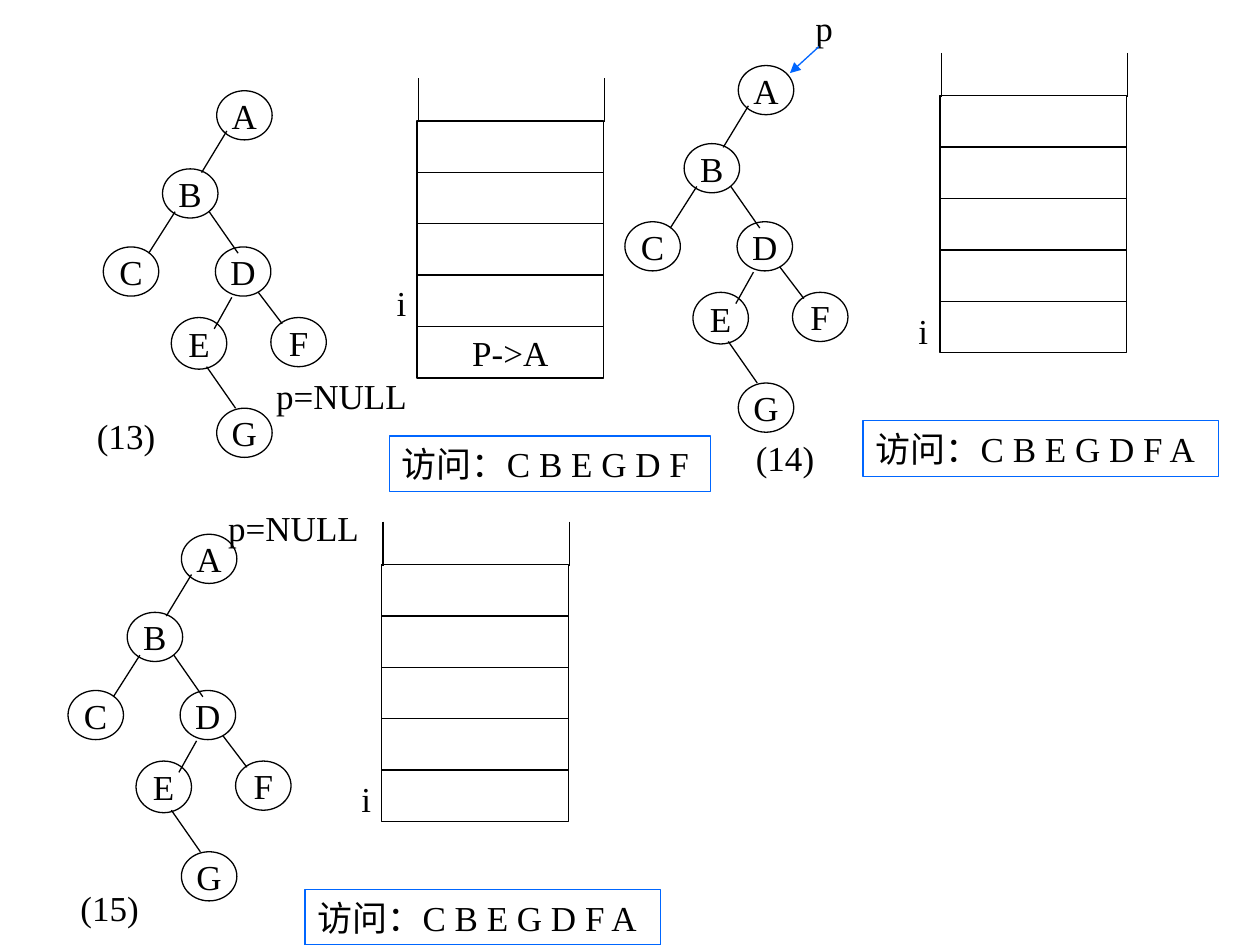
"""Build a slide with three steps of an in-order tree traversal and its stack."""
from lxml.etree import SubElement
from pptx import Presentation
from pptx.dml.color import RGBColor
from pptx.enum.shapes import MSO_CONNECTOR as Connector, MSO_SHAPE as Shape
from pptx.enum.text import MSO_ANCHOR as Anchor, MSO_AUTO_SIZE as AutoSize, PP_ALIGN as Align
from pptx.oxml.ns import qn
from pptx.util import Inches, Pt

THEME = {
    "font": "Times New Roman",
    "size": Pt(20),
    "line": Pt(0.75),
    "ink": RGBColor(0x00, 0x00, 0x00),
    "accent": RGBColor(0x00, 0x66, 0xFF),
}

NODE_WIDTH, NODE_HEIGHT = 0.44, 0.39
NODES = [
    ("A", 0, 0, NODE_HEIGHT),
    ("B", -0.43, 0.62, NODE_HEIGHT),
    ("C", -0.9, 1.24, NODE_HEIGHT),
    ("D", -0.01, 1.24, NODE_HEIGHT),
    ("E", -0.36, 1.8, 0.41),
    ("F", 0.43, 1.8, NODE_HEIGHT),
    ("G", 0, 2.52, NODE_HEIGHT),
]
EDGES = [
    (0.08, 0.32, -0.12, 0.65),
    (-0.33, 0.96, -0.54, 1.29),
    (-0.06, 0.96, 0.17, 1.29),
    (0.12, 1.64, -0.02, 1.89),
    (0.33, 1.6, 0.52, 1.85),
    (-0.08, 2.19, 0.15, 2.52),
]
CELL_COUNT, CELL_WIDTH, STACK_HEIGHT = 5, 1.48, 2.04
CELL_HEIGHT = STACK_HEIGHT / CELL_COUNT
RAIL_HEIGHT = 0.34
LABEL_HEIGHT = 0.44

STEPS = [
    {
        "tree": (1.72, 0.72),
        "stack": (3.31, 0.96),
        "bottom_cell": "P->A",
        "visited": ("访问：C B E G D F", 3.09, 3.46, 2.55),
        "labels": [("i", 3.05, 2.18, 0.27), ("p=NULL", 2.09, 2.92, 1.24),
                   ("(13)", 0.64, 3.24, 0.72)],
        "pointer": None,
    },
    {
        "tree": (5.86, 0.52),
        "stack": (7.46, 0.76),
        "bottom_cell": "",
        "visited": ("访问：C B E G D F A", 6.85, 3.34, 2.82),
        "labels": [("i", 7.19, 2.4, 0.27), ("p", 6.37, 0, 0.34),
                   ("(14)", 5.87, 3.41, 0.72)],
        "pointer": (6.5, 0.37, 6.27, 0.58),
    },
    {
        "tree": (1.44, 4.24),
        "stack": (3.03, 4.48),
        "bottom_cell": "",
        "visited": ("访问：C B E G D F A", 2.42, 7.06, 2.82),
        "labels": [("i", 2.77, 6.12, 0.27), ("p=NULL", 1.71, 3.97, 1.24),
                   ("(15)", 0.51, 6.98, 0.72)],
        "pointer": None,
    },
]


def write(shape, text, alignment=Align.CENTER):
    frame = shape.text_frame
    frame.text = text
    frame.word_wrap = False
    frame.vertical_anchor = Anchor.MIDDLE
    paragraph = frame.paragraphs[0]
    paragraph.alignment = alignment
    for run in paragraph.runs:
        run.font.name = THEME["font"]
        run.font.size = THEME["size"]
        run.font.color.rgb = THEME["ink"]


def add_outline(shapes, kind, box, color="ink"):
    shape = shapes.add_shape(kind, *map(Inches, box))
    shape.shadow.inherit = False
    shape.fill.background()
    shape.line.color.rgb = THEME[color]
    shape.line.width = THEME["line"]
    return shape


def add_line(shapes, ends, color="ink"):
    line = shapes.add_connector(Connector.STRAIGHT, *map(Inches, ends))
    line.line.color.rgb = THEME[color]
    line.line.width = THEME["line"]
    SubElement(line._element.spPr, qn("a:effectLst"))
    return line


def add_label(shapes, text, left, top, width):
    label = shapes.add_textbox(*map(Inches, (left, top, width, LABEL_HEIGHT)))
    write(label, text)
    label.text_frame.auto_size = AutoSize.SHAPE_TO_FIT_TEXT


def add_tree(shapes, left, top):
    for name, x, y, height in NODES:
        node = add_outline(shapes, Shape.OVAL, (left + x, top + y, NODE_WIDTH, height))
        write(node, name)
    for x1, y1, x2, y2 in EDGES:
        add_line(shapes, (left + x1, top + y1, left + x2, top + y2))


def add_stack(shapes, left, top, bottom_text):
    for row in reversed(range(CELL_COUNT)):
        box = (left, top + row * CELL_HEIGHT, CELL_WIDTH, CELL_HEIGHT)
        cell = add_outline(shapes, Shape.RECTANGLE, box)
        if bottom_text and row == CELL_COUNT - 1:
            write(cell, bottom_text)
    for x in (left, left + CELL_WIDTH):
        add_line(shapes, (x + 0.01, top - RAIL_HEIGHT, x + 0.01, top + 0.01))


def add_visited(shapes, text, left, top, width):
    box = (left, top, width, LABEL_HEIGHT)
    visited = add_outline(shapes, Shape.RECTANGLE, box, "accent")
    write(visited, text, Align.LEFT)
    visited.text_frame.auto_size = AutoSize.SHAPE_TO_FIT_TEXT


def add_pointer(shapes, ends):
    pointer = add_line(shapes, ends, "accent")
    SubElement(pointer.line._get_or_add_ln(), qn("a:tailEnd"), type="triangle")


def add_step(slide, step):
    shapes = slide.shapes.add_group_shape().shapes
    add_tree(shapes, *step["tree"])
    add_stack(shapes, *step["stack"], step["bottom_cell"])
    add_visited(shapes, *step["visited"])
    for label in step["labels"]:
        add_label(shapes, *label)
    if step["pointer"]:
        add_pointer(shapes, step["pointer"])


def main():
    presentation = Presentation()
    presentation.slide_width = Inches(10)
    presentation.slide_height = Inches(7.5)
    slide = presentation.slides.add_slide(presentation.slide_layouts[6])
    for step in STEPS:
        add_step(slide, step)
    presentation.save("out.pptx")


if __name__ == "__main__":
    main()
